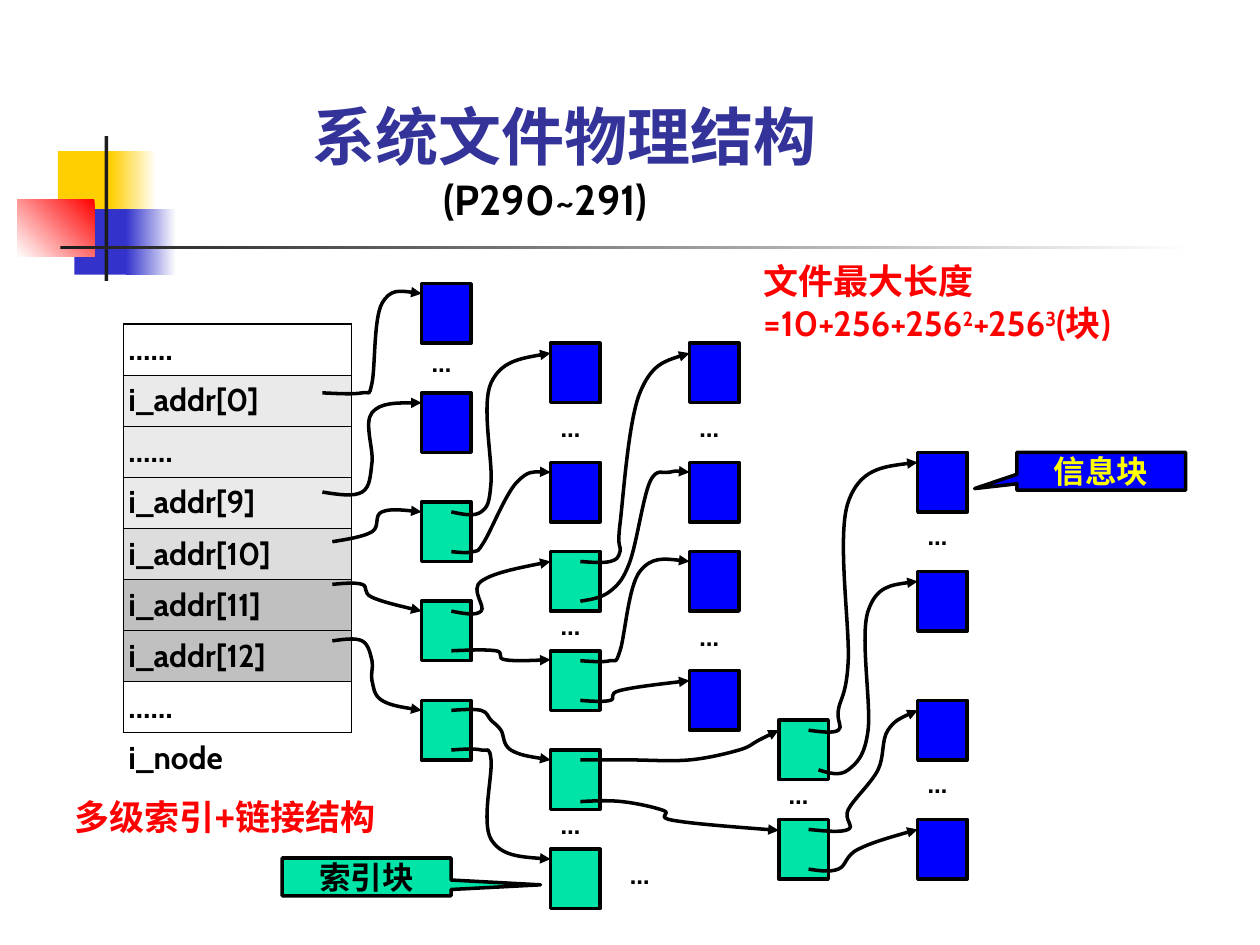
from dataclasses import dataclass

from lxml.etree import SubElement
from pptx import Presentation
from pptx.dml.color import RGBColor
from pptx.enum.shapes import MSO_SHAPE
from pptx.enum.text import MSO_ANCHOR, MSO_AUTO_SIZE, PP_ALIGN
from pptx.oxml.ns import qn
from pptx.util import Inches, Mm, Pt


@dataclass(frozen=True)
class Theme:
    latin: str = "Cabin"
    plain: str = "Arial"
    title: str = "333399"
    black: str = "000000"
    white: str = "FFFFFF"
    red: str = "FF0000"
    yellow: str = "FFFF00"
    gold: str = "FFCF01"
    indigo: str = "3333CC"
    charcoal: str = "1C1C1C"
    data: str = "0000FF"
    index: str = "00E4A8"
    title_size: int = 36
    subtitle_size: int = 24
    note_size: int = 20
    label_size: int = 18
    dots_size: int = 16
    outline: float = 2
    table_edge: float = 1.08
    table_rule: float = 0.45


THEME = Theme()

# The diagram sits on a 2 mm grid that starts at the first data block.
CELL = Mm(2)
ORIGIN_X, ORIGIN_Y = Mm(85), Mm(57.2)
BLOCK_COLS, BLOCK_ROWS = 5, 6

DATA_BLOCKS = [(0, 0), (0, 11), (13, 6), (13, 18), (27, 6), (27, 18),
               (27, 27), (27, 39), (50, 17), (50, 29), (50, 42), (50, 54)]
INDEX_BLOCKS = [(0, 22), (0, 32), (0, 42), (13, 27), (13, 37), (13, 47),
                (13, 57), (36, 44), (36, 54)]
DOTS = [(1, 6.1), (14, 12.7), (14, 32.6), (28, 12.7), (28, 33.7),
        (14, 52.7), (37, 49.7), (21, 57.7), (51, 23.6), (51, 48.6)]
POINTERS = [
    [(-10, 11), (-6, 11), (-5, 10), (-4, 2), (0, 1)],
    [(-10, 21), (-6, 21), (-5, 18), (-5, 13), (0, 12)],
    [(-9, 26), (-5, 25), (-4, 23), (0, 23)],
    [(-9, 30.3), (-6, 30.3), (-5, 31.6), (0, 33)],
    [(-9, 36), (-6, 36), (-5, 38), (-5, 40), (-4, 42), (0, 43)],
    [(3, 23), (6, 23), (7, 20), (7, 10), (13, 7)],
    [(3, 27), (5.2, 27), (6.3, 26), (9.6, 20), (13, 19)],
    [(3, 33), (6, 33), (6, 30), (13, 28)],
    [(3, 37), (7.5, 37), (8.4, 37.9), (13, 37.9)],
    [(3, 43), (6, 43), (7, 44), (8, 45), (9, 47), (13, 48)],
    [(3, 47), (6, 47), (7, 48), (7, 56), (13, 58)],
    [(16, 28), (19, 28), (20, 27), (20, 24.2), (22, 11), (27, 7)],
    [(16, 32), (19, 31), (21, 28), (23, 20), (25, 19), (27, 19)],
    [(16, 38), (19, 38), (20, 37), (22, 29), (27, 28)],
    [(16, 42), (19, 42), (20, 41), (27, 40)],
    [(16, 48), (21, 48), (27, 48), (32, 47), (34, 46), (36, 45)],
    [(16, 52.2), (20.2, 52.2), (24.4, 53.1), (25.4, 54.1), (36, 55.1)],
    [(39, 45), (42, 45), (42, 43), (43, 38), (43, 22), (50, 18)],
    [(40, 49), (43, 49), (45, 45), (45, 33), (50, 30)],
    [(39, 55), (43, 55), (43, 53), (46, 49), (47, 45), (50, 43)],
    [(39, 59), (42, 59), (44, 57), (50, 55)],
]
INODE_ROWS = [("……", None), ("i_addr[0]", "EAEAEA"), ("……", "EAEAEA"),
              ("i_addr[9]", "EAEAEA"), ("i_addr[10]", "DDDDDD"),
              ("i_addr[11]", "C0C0C0"), ("i_addr[12]", "C0C0C0"),
              ("……", None), ("i_node", None)]


def rgb(code):
    return RGBColor.from_string(code)


def inches(*lengths):
    return [Inches(length) for length in lengths]


def on_grid(point):
    col, row = point
    return round(ORIGIN_X + col * CELL), round(ORIGIN_Y + row * CELL)


def style(paragraph, size, color, face=THEME.latin):
    font = paragraph.font
    font.size, font.name, font.bold = Pt(size), face, True
    font.color.rgb = rgb(color)


def tight_frame(shape):
    frame = shape.text_frame
    frame.word_wrap = True
    frame.auto_size = MSO_AUTO_SIZE.NONE
    frame.vertical_anchor = MSO_ANCHOR.TOP
    frame.margin_left = frame.margin_right = 0
    frame.margin_top = frame.margin_bottom = 0
    return frame


def outline(shape):
    shape.shadow.inherit = False
    shape.line.color.rgb = rgb(THEME.black)
    shape.line.width = Pt(THEME.outline)


def add_title(slide):
    title = slide.shapes.title
    title.left, title.top, title.width, title.height = inches(2.48, 0.84, 4.57, 0.94)
    frame = tight_frame(title)
    frame.text = "系统文件物理结构\n(P290~291)"
    heading, pages = frame.paragraphs
    heading.alignment = pages.alignment = PP_ALIGN.LEFT
    heading.line_spacing = 0.9
    pages._p.get_or_add_pPr().set("marL", str(Inches(1.04)))
    style(heading, THEME.title_size, THEME.title)
    style(pages, THEME.subtitle_size, THEME.black)


def add_ornament(slide, box, color, fade_angle=None):
    """Plain rectangle, or one that fades to white along fade_angle."""
    bar = slide.shapes.add_shape(MSO_SHAPE.RECTANGLE, *inches(*box))
    bar.shadow.inherit = False
    bar.line.fill.background()
    if fade_angle is None:
        bar.fill.solid()
        bar.fill.fore_color.rgb = rgb(color)
        return
    bar.fill.gradient()
    bar.fill.gradient_angle = fade_angle
    for stop, shade in zip(bar.fill.gradient_stops, (color, THEME.white)):
        stop.color.rgb = rgb(shade)


def set_borders(cell, **widths):
    """Give each side (L, R, T, B) its width in points; 0 hides it."""
    properties = cell._tc.get_or_add_tcPr()
    for side, width in widths.items():
        line = SubElement(properties, qn(f"a:ln{side}"), w=str(Pt(width)))
        if width:
            fill = SubElement(line, qn("a:solidFill"))
            SubElement(fill, qn("a:srgbClr"), val=THEME.black)
        else:
            SubElement(line, qn("a:noFill"))


def add_inode_table(slide):
    count = len(INODE_ROWS)
    table = slide.shapes.add_table(count, 1, *inches(0.98, 2.57, 1.81, 3.41)).table
    table.first_row = table.horz_banding = False
    edge, rule = THEME.table_edge, THEME.table_rule
    for number, (label, shade) in enumerate(INODE_ROWS):
        caption = number == count - 1
        cell = table.cell(number, 0)
        side = 0 if caption else edge
        set_borders(cell, L=side, R=side,
                    T=edge if number == 0 or caption else rule,
                    B=0 if caption else edge if number == count - 2 else rule)
        cell.margin_left = cell.margin_right = Inches(0.04)
        cell.margin_top = cell.margin_bottom = Inches(0.05)
        cell.vertical_anchor = MSO_ANCHOR.MIDDLE
        if shade:
            cell.fill.solid()
            cell.fill.fore_color.rgb = rgb(shade)
        else:
            cell.fill.background()
        cell.text = label
        style(cell.text_frame.paragraphs[0], THEME.label_size, THEME.black)


def add_block(slide, place, color):
    block = slide.shapes.add_shape(MSO_SHAPE.RECTANGLE, *on_grid(place),
                                   BLOCK_COLS * CELL, BLOCK_ROWS * CELL)
    block.fill.solid()
    block.fill.fore_color.rgb = rgb(color)
    outline(block)


def spline(knots):
    """Bezier points after the first knot: two handles and a knot per piece."""
    def midpoint(a, b):
        return (a[0] + b[0]) / 2, (a[1] + b[1]) / 2

    arrive, leave = {}, {}
    for i in range(1, len(knots) - 1):
        (x0, y0), (x, y), (x1, y1) = knots[i - 1:i + 2]
        dx, dy = (x1 - x0) / 6, (y1 - y0) / 6
        arrive[i], leave[i] = (x - dx, y - dy), (x + dx, y + dy)
    last = len(knots) - 1
    leave[0] = midpoint(knots[0], arrive[1])
    arrive[last] = midpoint(leave[last - 1], knots[last])
    return [point for i in range(last)
            for point in (leave[i], arrive[i + 1], knots[i + 1])]


def add_pointer(slide, knots):
    builder = slide.shapes.build_freeform(*on_grid(knots[0]))
    builder.add_line_segments([on_grid(p) for p in spline(knots)], close=False)
    pointer = builder.convert_to_shape()
    pointer.fill.background()
    outline(pointer)
    properties = pointer._element.spPr
    outline_path = properties.find(".//" + qn("a:path"))
    segments = outline_path.findall(qn("a:lnTo"))
    for start in range(0, len(segments), 3):
        curve = SubElement(outline_path, qn("a:cubicBezTo"))
        for segment in segments[start:start + 3]:
            curve.append(segment[0])
            outline_path.remove(segment)
    SubElement(properties.find(qn("a:ln")), qn("a:tailEnd"), type="triangle")


def add_dots(slide, place):
    dots = slide.shapes.add_textbox(*on_grid(place), 3 * CELL, round(3.4 * CELL))
    paragraph = tight_frame(dots).paragraphs[0]
    paragraph.text = "…"
    style(paragraph, THEME.dots_size, THEME.black)


def add_note(slide, box, parts, face):
    """Red note; every second part is a superscript."""
    note = slide.shapes.add_textbox(*inches(*box))
    paragraph = tight_frame(note).paragraphs[0]
    for number, part in enumerate(parts):
        run = paragraph.add_run()
        run.text = part
        if number % 2:
            run._r.get_or_add_rPr().set("baseline", "30000")
    style(paragraph, THEME.note_size, THEME.red, face)


def add_callout(slide, place, label, tip, fill, color):
    callout = slide.shapes.add_shape(MSO_SHAPE.RECTANGULAR_CALLOUT,
                                     *inches(*place, 1.34, 0.3))
    callout.adjustments[0], callout.adjustments[1] = tip
    callout.fill.solid()
    callout.fill.fore_color.rgb = rgb(fill)
    outline(callout)
    paragraph = tight_frame(callout).paragraphs[0]
    paragraph.text = label
    paragraph.alignment = PP_ALIGN.CENTER
    style(paragraph, THEME.label_size, color, THEME.plain)


def main():
    deck = Presentation()
    deck.slide_width, deck.slide_height = inches(10, 7.5)
    slide = deck.slides.add_slide(deck.slide_layouts[5])

    add_ornament(slide, (0.46, 1.2, 0.48, 0.52), THEME.gold)
    add_ornament(slide, (0.88, 1.2, 0.36, 0.52), THEME.gold, 0)
    add_ornament(slide, (0.59, 1.66, 0.46, 0.52), THEME.indigo)
    add_ornament(slide, (1, 1.66, 0.4, 0.52), THEME.indigo, 0)
    add_ornament(slide, (0.14, 1.58, 0.61, 0.46), THEME.red, 225)
    add_ornament(slide, (0.83, 1.08, 0.03, 1.15), THEME.charcoal)
    add_ornament(slide, (0.48, 1.95, 9, 0.03), THEME.charcoal, 0)

    add_title(slide)
    add_inode_table(slide)
    for place in DATA_BLOCKS:
        add_block(slide, place, THEME.data)
    for place in INDEX_BLOCKS:
        add_block(slide, place, THEME.index)
    for knots in POINTERS:
        add_pointer(slide, knots)
    for place in DOTS:
        add_dots(slide, place)

    add_note(slide, (6.06, 2.06, 3.67, 0.67),
             ["文件最大长度=10+256+256", "2", "+256", "3", "(块)"], THEME.latin)
    add_note(slide, (0.59, 6.31, 2.6, 0.33), ["多级索引+链接结构"], THEME.plain)
    add_callout(slide, (8.07, 3.59), "信息块", (-0.75, 0.46), THEME.data, THEME.yellow)
    add_callout(slide, (2.24, 6.81), "索引块", (1.03, 0.21), THEME.index, THEME.black)
    deck.save("out.pptx")


if __name__ == "__main__":
    main()
